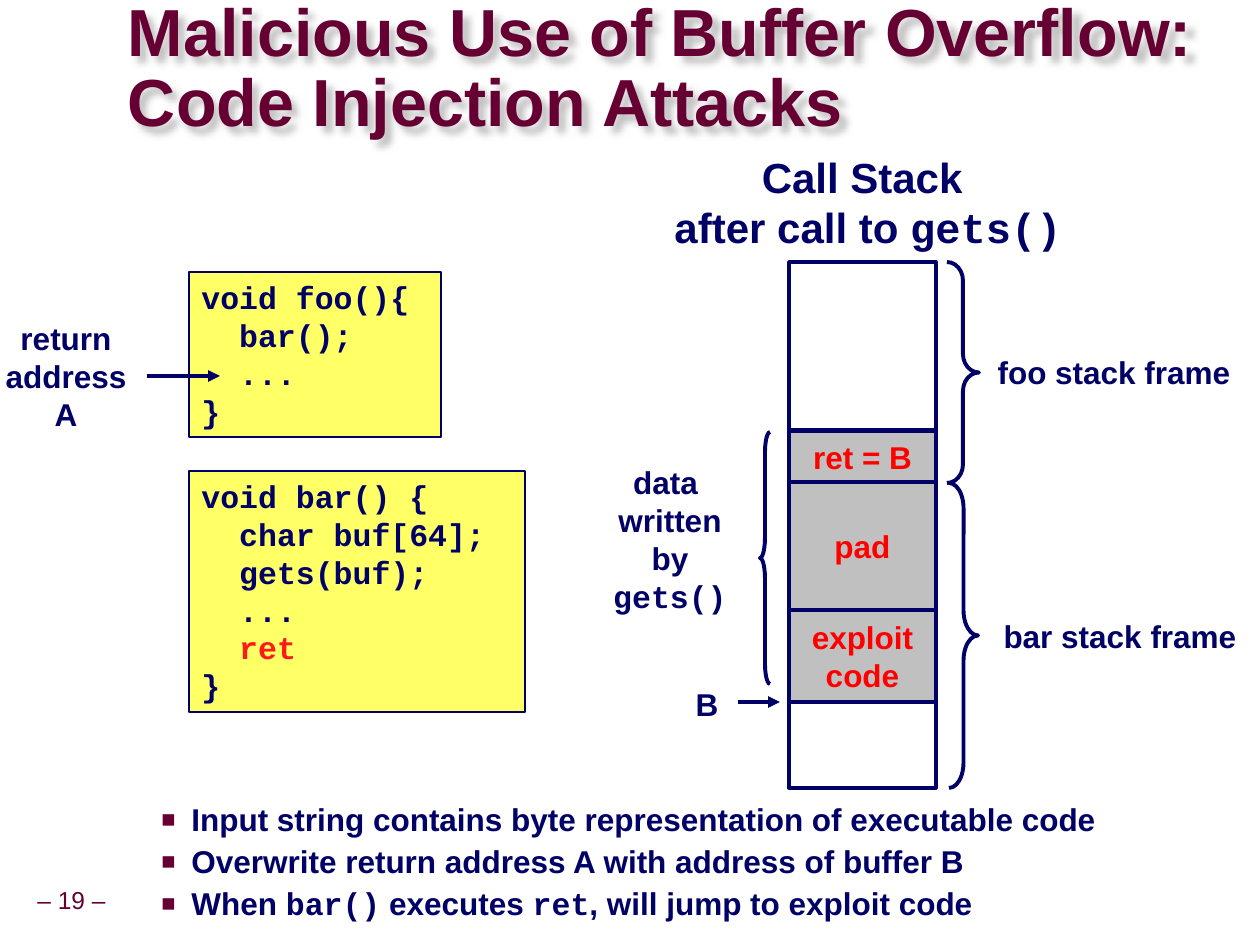
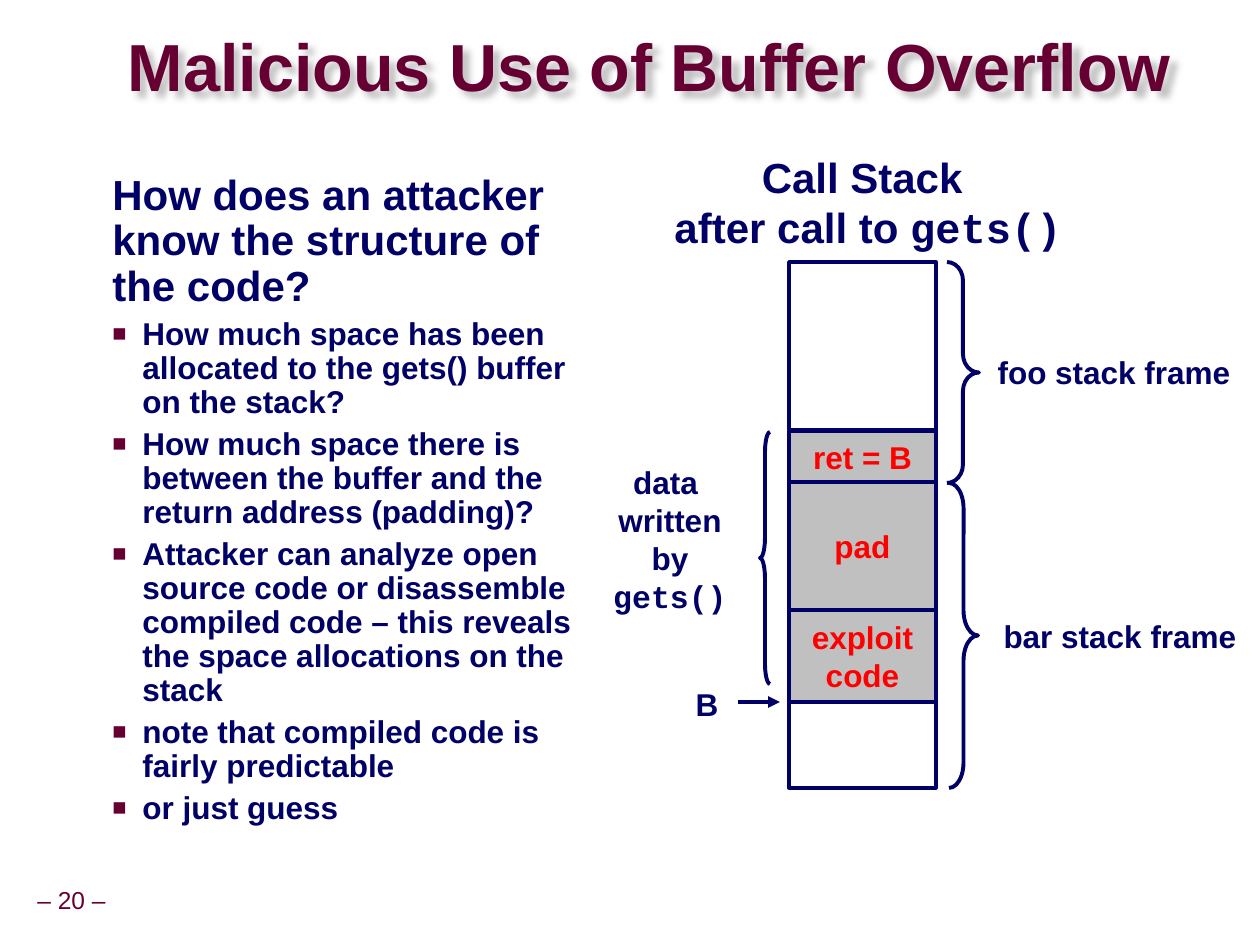
from lxml.etree import SubElement
from pptx import Presentation
from pptx.dml.color import RGBColor
from pptx.enum.shapes import MSO_CONNECTOR, MSO_SHAPE
from pptx.enum.text import MSO_ANCHOR, MSO_AUTO_SIZE, PP_ALIGN
from pptx.oxml.ns import qn
from pptx.util import Emu, Pt

EMU_PER_PIXEL = 914400 / 126
NAVY = RGBColor(0x00, 0x00, 0x66)
MAROON = RGBColor(0x66, 0x00, 0x33)
RED = RGBColor(0xFF, 0x00, 0x00)
CODE_RED = RGBColor(0xFF, 0x1A, 0x1A)
YELLOW = RGBColor(0xFF, 0xFF, 0x66)
GREY = RGBColor(0xC0, 0xC0, 0xC0)
WHITE = RGBColor(0xFF, 0xFF, 0xFF)
SANS = "Arial"
MONO = "Courier New"

STACK_LEFT, STACK_WIDTH = 789, 147


def px(*lengths):
    return [Emu(round(length * EMU_PER_PIXEL)) for length in lengths]


def add_run(paragraph, text, size=18, font=SANS, color=NAVY, bold=True):
    run = paragraph.add_run()
    run.text = text
    run.font.size = Pt(size)
    run.font.name = font
    run.font.bold = bold
    run.font.color.rgb = color


def fill_text(frame, lines, align=PP_ALIGN.CENTER, **style):
    """Write lines; a line is a string or a list of (text, own style) runs."""
    for index, line in enumerate(lines):
        paragraph = frame.paragraphs[0] if index == 0 else frame.add_paragraph()
        paragraph.alignment = align
        runs = [(line, {})] if isinstance(line, str) else line
        for text, own_style in runs:
            add_run(paragraph, text, **{**style, **own_style})


def add_label(slide, box, lines, anchor=MSO_ANCHOR.MIDDLE, **style):
    """Centred text on its own; without side margins each line has room."""
    frame = slide.shapes.add_textbox(*px(*box)).text_frame
    frame.word_wrap = False
    frame.auto_size = MSO_AUTO_SIZE.SHAPE_TO_FIT_TEXT
    frame.margin_left = frame.margin_right = 0
    frame.vertical_anchor = anchor
    fill_text(frame, lines, **style)
    return frame


def add_box(slide, box, fill, width, lines=(), anchor=MSO_ANCHOR.MIDDLE, **style):
    shape = slide.shapes.add_shape(MSO_SHAPE.RECTANGLE, *px(*box))
    shape.shadow.inherit = False
    shape.fill.solid()
    shape.fill.fore_color.rgb = fill
    shape.line.color.rgb = NAVY
    shape.line.width = Pt(width)
    shape.text_frame.word_wrap = True
    shape.text_frame.vertical_anchor = anchor
    fill_text(shape.text_frame, lines, **style)


def add_code(slide, box, lines):
    add_box(slide, box, YELLOW, 1, lines, MSO_ANCHOR.TOP,
            align=PP_ALIGN.LEFT, font=MONO)


def add_brace(slide, kind, box, curve):
    brace = slide.shapes.add_shape(kind, *px(*box))
    brace.shadow.inherit = False
    brace.adjustments[0] = curve
    brace.fill.background()
    brace.line.color.rgb = NAVY
    brace.line.width = Pt(2.25)


def add_arrow(slide, left, right, y):
    arrow = slide.shapes.add_connector(MSO_CONNECTOR.STRAIGHT, *px(left, y, right, y))
    arrow.line.color.rgb = NAVY
    arrow.line.width = Pt(2.25)
    properties = arrow.element.spPr
    SubElement(properties.find(qn("a:ln")), qn("a:tailEnd"), type="triangle")
    SubElement(properties, qn("a:effectLst"))


def add_title(slide, lines):
    title = slide.shapes.title
    title.left, title.top, title.width, title.height = px(128, 31, 1070, 79)
    frame = title.text_frame
    frame.margin_left = frame.margin_right = frame.margin_top = frame.margin_bottom = 0
    frame.auto_size = MSO_AUTO_SIZE.NONE
    frame.vertical_anchor = MSO_ANCHOR.MIDDLE
    paragraph = frame.paragraphs[0]
    paragraph.alignment = PP_ALIGN.LEFT
    paragraph.line_spacing = 0.87
    for index, line in enumerate(lines):
        if index:
            paragraph.add_line_break()
        add_run(paragraph, line, 38, color=MAROON)
    # Soft shadow to the lower right of the letters
    effects = SubElement(title.element.spPr, qn("a:effectLst"))
    shadow = SubElement(effects, qn("a:outerShdw"), blurRad="50800",
                        dist="53900", dir="2700000", algn="tl", rotWithShape="0")
    SubElement(shadow, qn("a:srgbClr"), val="C0C0C0")


def add_page_number(slide, number):
    frame = add_label(slide, (30, 882, 83, 39), [f"– {number} –"],
                      size=14, color=MAROON, bold=False)
    frame.paragraphs[0].line_spacing = 0.9


def set_bullet(paragraph):
    properties = paragraph._p.get_or_add_pPr()
    left, hanging = px(77, -30)
    properties.set("marL", str(left))
    properties.set("indent", str(hanging))
    color = SubElement(properties, qn("a:buClr"))
    SubElement(color, qn("a:srgbClr"), val=str(MAROON))
    SubElement(properties, qn("a:buSzPct"), val="75000")
    SubElement(properties, qn("a:buFont"), typeface=SANS)
    SubElement(properties, qn("a:buChar"), char="■")


def add_bullets(slide, box, bullets, heading=None):
    frame = slide.shapes.add_textbox(*px(*box)).text_frame
    frame.word_wrap = True
    headings = [[(heading, {"size": 24})]] if heading else []
    fill_text(frame, headings + bullets, PP_ALIGN.LEFT)
    for index, paragraph in enumerate(frame.paragraphs):
        paragraph.line_spacing = 0.9
        paragraph.space_before = Pt(4.6)
        if index < len(headings):
            paragraph._p.get_or_add_pPr().set("marL", str(px(47)[0]))
        else:
            set_bullet(paragraph)


def add_call_stack(slide):
    add_label(slide, (660, 145, 416, 115),
              ["Call Stack ", [("after call to ", {}), ("gets()", {"font": MONO})]],
              MSO_ANCHOR.TOP, size=24)

    # Stack cells: top, height, fill, line width, text
    cells = [
        (431, 52, GREY, 2, ["ret = B"]),
        (262, 168, WHITE, 2, []),
        (702, 86, WHITE, 2, []),
        (610, 92, GREY, 2.25, ["exploit", "code"]),
        (482, 128, GREY, 2.25, ["pad"]),
    ]
    for top, height, fill, width, lines in cells:
        add_box(slide, (STACK_LEFT, top, STACK_WIDTH, height),
                fill, width, lines, color=RED)

    # Frames on the right, written data on the left
    add_brace(slide, MSO_SHAPE.RIGHT_BRACE, (947, 262, 32, 221), 0.58)
    add_brace(slide, MSO_SHAPE.RIGHT_BRACE, (949, 483, 29, 305), 0.87)
    add_brace(slide, MSO_SHAPE.LEFT_BRACE, (760, 432, 10, 252), 2)
    add_label(slide, (985, 347, 258, 50), ["foo stack frame"])
    add_label(slide, (991, 611, 258, 50), ["bar stack frame"])
    add_label(slide, (601, 457, 138, 164),
              ["data ", "written", "by", [("gets()", {"font": MONO})]])

    # Start of the buffer
    add_label(slide, (683, 679, 48, 50), ["B"])
    add_arrow(slide, 738, 780, 702)


def start_slide(presentation, title_lines, number):
    slide = presentation.slides.add_slide(presentation.slide_layouts[5])
    add_page_number(slide, number)
    add_title(slide, title_lines)
    return slide


def build_injection_slide(presentation):
    slide = start_slide(presentation, ["Malicious Use of Buffer Overflow:",
                                       "Code Injection Attacks"], 19)
    mono = {"font": MONO}
    add_bullets(slide, (102, 798, 1138, 105), [
        "Input string contains byte representation of executable code",
        "Overwrite return address A with address of buffer B",
        [("When ", {}), ("bar()", mono), (" executes ", {}), ("ret", mono),
         (", will jump to exploit code", {})],
    ])
    add_code(slide, (189, 471, 336, 241), [
        "void bar() {", "  char buf[64];", "  gets(buf);", "  ...",
        [("  ", {}), ("ret", {"color": CODE_RED})], "}"])
    add_code(slide, (189, 272, 252, 165), ["void foo(){", "  bar();", "  ...", "}"])
    add_label(slide, (-7, 313, 146, 126), ["return", "address", "A"])
    add_arrow(slide, 147, 220, 376)
    add_call_stack(slide)


def build_attacker_slide(presentation):
    slide = start_slide(presentation, ["Malicious Use of Buffer Overflow"], 20)
    add_bullets(slide, (53, 168, 546, 693), [
        "How much space has been allocated to the gets() buffer on the stack?",
        "How much space there is between the buffer and the return address (padding)?",
        "Attacker can analyze open source code or disassemble compiled code – "
        "this reveals the space allocations on the stack",
        "note that compiled code is fairly predictable",
        "or just guess",
    ], heading="How does an attacker know the structure of the code?")
    add_call_stack(slide)


def main():
    presentation = Presentation()
    presentation.slide_width, presentation.slide_height = px(1260, 945)
    build_injection_slide(presentation)
    build_attacker_slide(presentation)
    presentation.save("out.pptx")


main()
